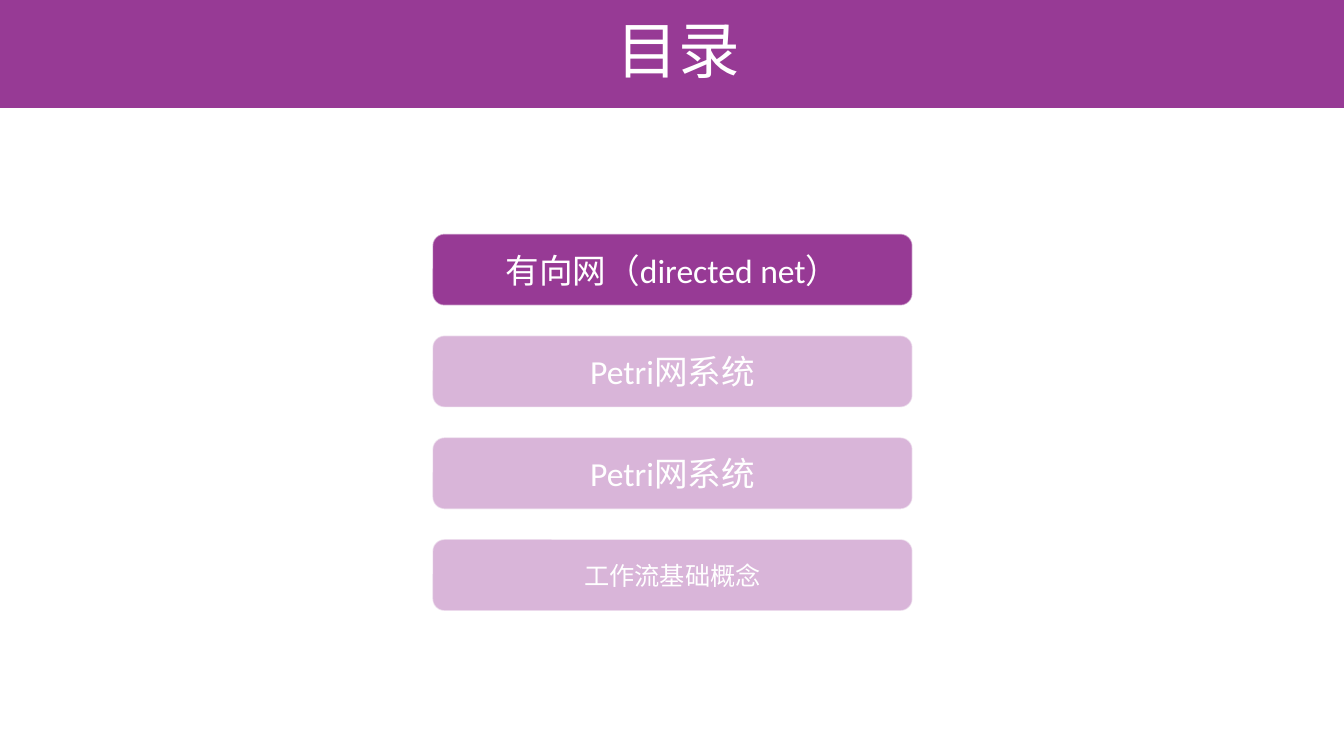
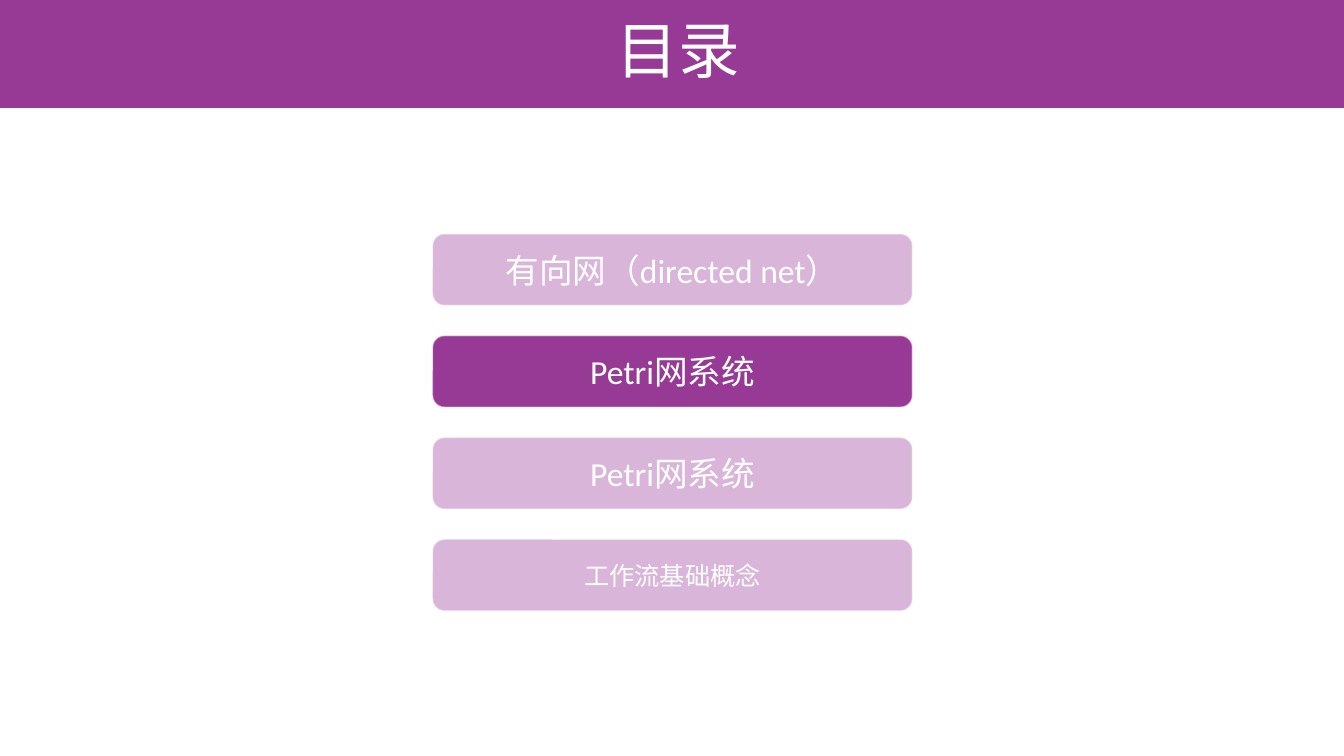
from lxml import etree
from pptx import Presentation
from pptx.dml.color import RGBColor
from pptx.enum.shapes import MSO_SHAPE
from pptx.enum.text import MSO_ANCHOR, MSO_AUTO_SIZE, PP_ALIGN
from pptx.oxml.ns import qn
from pptx.util import Inches, Pt

RECTANGLE = MSO_SHAPE.RECTANGLE
ROUNDED = MSO_SHAPE.ROUNDED_RECTANGLE
CENTER = PP_ALIGN.CENTER
MIDDLE = MSO_ANCHOR.MIDDLE
NO_AUTOFIT = MSO_AUTO_SIZE.NONE

PURPLE = RGBColor(0x97, 0x3A, 0x95)
FADED_PURPLE = RGBColor(0x99, 0x38, 0x99)
WHITE = RGBColor(0xFF, 0xFF, 0xFF)
BODY_FONT = "Calibri"
CJK_FONT = "Noto Sans CJK SC"

TITLE = "目录"
CHAPTERS = [
    ("有向网（directed net）", 24),
    ("Petri网系统", 24),
    ("Petri网系统", 24),
    ("工作流基础概念", 18),
]
ACTIVE_CHAPTERS = [0, 1]

SLIDE_WIDTH, SLIDE_HEIGHT = Inches(13.33), Inches(7.5)
BUTTON_LEFT, BUTTON_TOP = Inches(4.29), Inches(2.32)
BUTTON_WIDTH, BUTTON_HEIGHT = Inches(4.76), Inches(0.71)
BUTTON_STEP = Inches(1.01)


def set_opacity(shape, color_location, percent):
    color = shape.element.spPr.find(f"{color_location}/{qn('a:srgbClr')}")
    etree.SubElement(color, qn("a:alpha"), val=str(percent * 1000))


def write_text(shape, text, size, font_name):
    frame = shape.text_frame
    frame.text = text
    frame.word_wrap = True
    frame.auto_size = NO_AUTOFIT
    frame.vertical_anchor = MIDDLE
    para = frame.paragraphs[0]
    para.alignment = CENTER
    font = para.runs[0].font
    font.size = Pt(size)
    font.name = font_name
    font.color.rgb = WHITE
    properties = para.runs[0].font._element
    etree.SubElement(properties, qn("a:ea"), typeface=CJK_FONT)
    return para


def add_panel(page, preset, left, top, width, height, color):
    panel = page.shapes.add_shape(preset, left, top, width, height)
    panel.shadow.inherit = False
    panel.fill.solid()
    panel.fill.fore_color.rgb = color
    panel.line.fill.background()
    return panel


def add_band_to_layout(page):
    band = add_panel(page, RECTANGLE, 0, Inches(-0.01), SLIDE_WIDTH, Inches(1.08), PURPLE)
    page.slide_layout.shapes.element.insert(2, band.element)


def add_title(page):
    title = page.shapes.title
    title.left, title.top = Inches(0.13), 0
    title.width, title.height = Inches(13.2), Inches(1.07)
    write_text(title, TITLE, 44, CJK_FONT).line_spacing = 0.9


def add_chapter_button(page, index, active):
    text, size = CHAPTERS[index]
    top = BUTTON_TOP + index * BUTTON_STEP
    color = PURPLE if active else FADED_PURPLE
    button = add_panel(page, ROUNDED, BUTTON_LEFT, top, BUTTON_WIDTH, BUTTON_HEIGHT, color)
    button.line.color.rgb = WHITE
    button.line.width = Pt(1)
    set_opacity(button, f"{qn('a:ln')}/{qn('a:solidFill')}", 50)
    if not active:
        set_opacity(button, qn("a:solidFill"), 37)
    write_text(button, text, size, BODY_FONT)


def main():
    deck = Presentation()
    deck.slide_width, deck.slide_height = SLIDE_WIDTH, SLIDE_HEIGHT
    title_only = deck.slide_layouts[5]
    pages = [deck.slides.add_slide(title_only) for _ in ACTIVE_CHAPTERS]
    add_band_to_layout(pages[0])
    for page, active_chapter in zip(pages, ACTIVE_CHAPTERS):
        add_title(page)
        for index in range(len(CHAPTERS)):
            add_chapter_button(page, index, index == active_chapter)
    deck.save("out.pptx")


if __name__ == "__main__":
    main()
